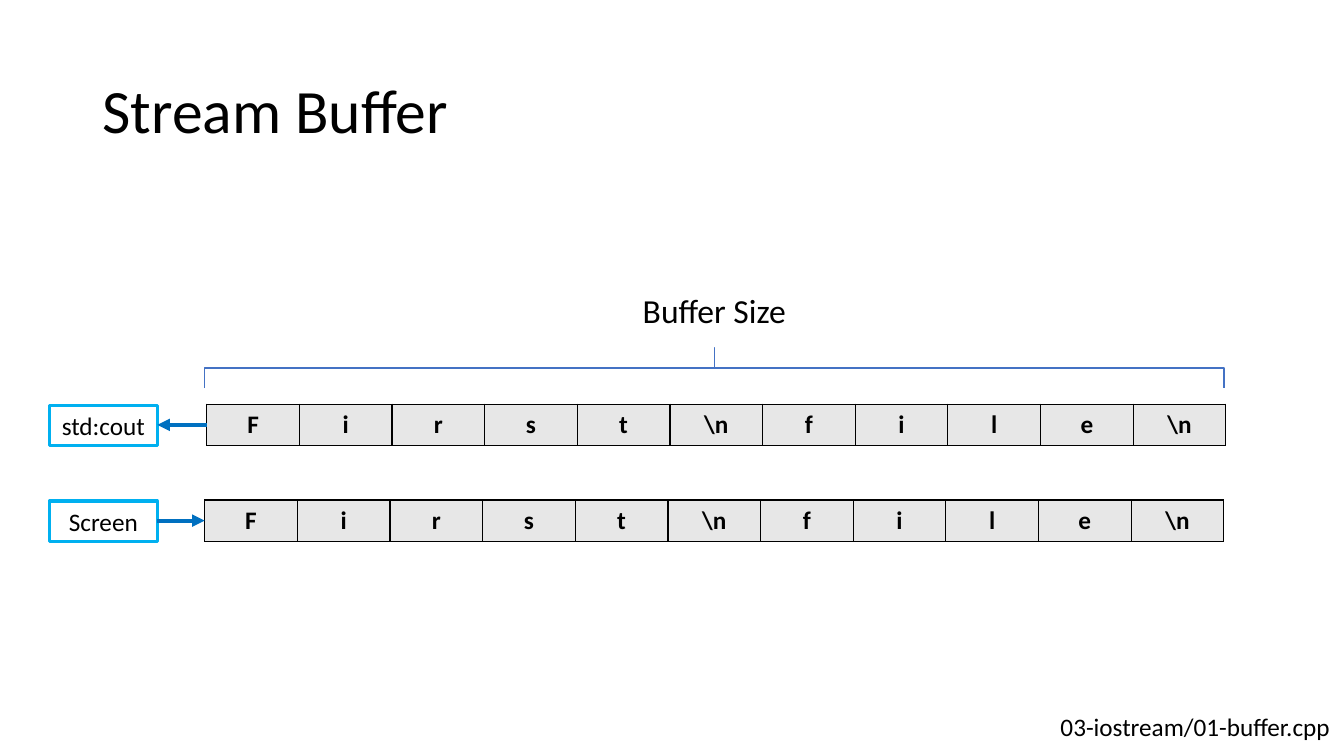
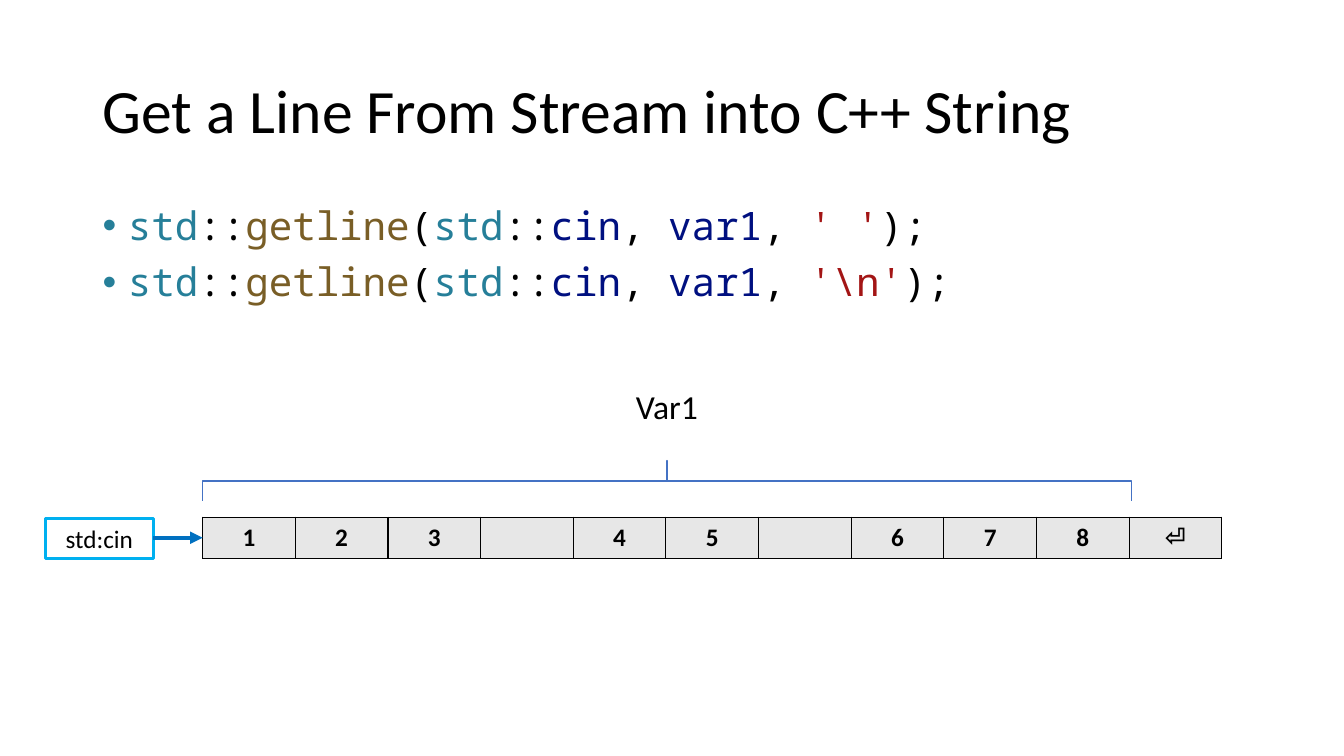
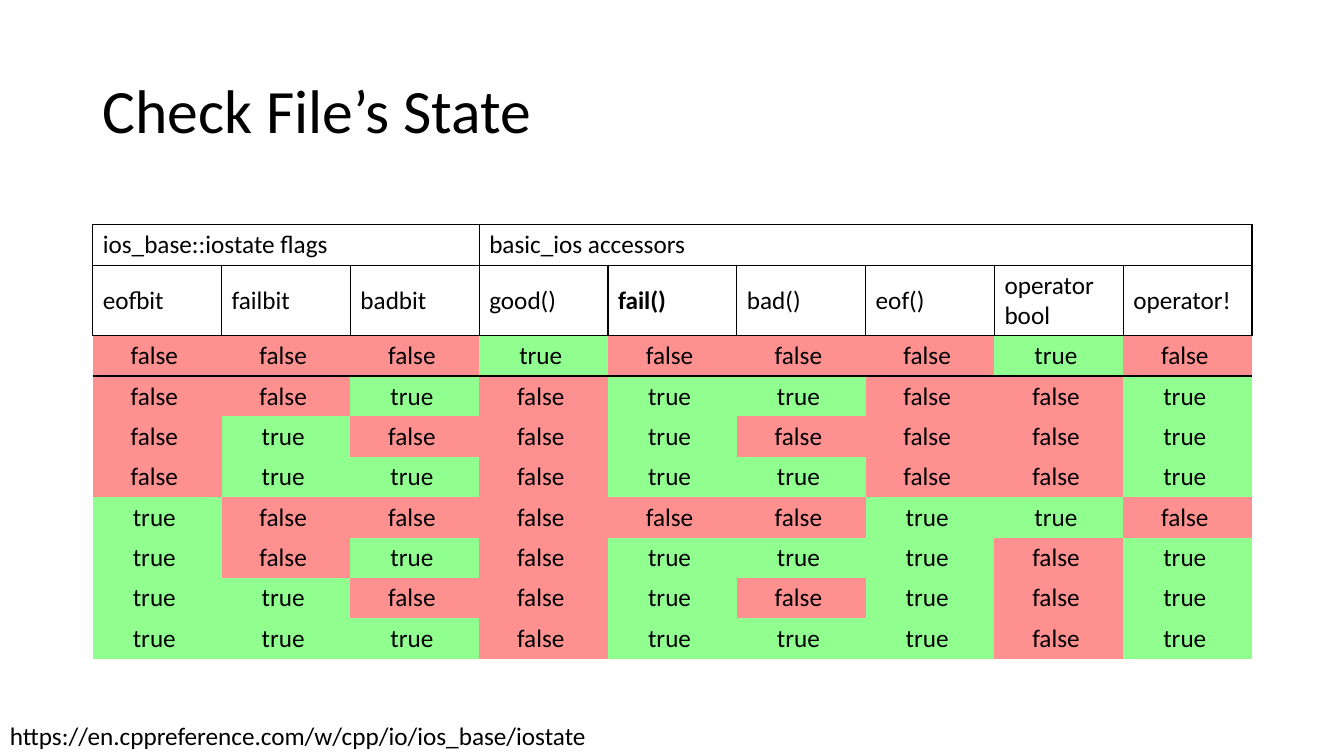
import itertools

import pptx
import pptx.dml.color
import pptx.enum.shapes
import pptx.enum.text
import pptx.oxml
import pptx.oxml.ns
import pptx.util

Inches, Pt = pptx.util.Inches, pptx.util.Pt
SHAPE = pptx.enum.shapes.MSO_SHAPE
ALIGN = pptx.enum.text.PP_ALIGN
ANCHOR = pptx.enum.text.MSO_ANCHOR
qn = pptx.oxml.ns.qn

TEXT_FONT, CODE_FONT = "Calibri", "Noto Sans Mono"
BLACK, CELL_GREY = "000000", "E7E7E7"
BOX_BLUE, ARROW_BLUE, BRACKET_BLUE = "00B0F0", "0070C0", "4472C4"
TRUE_GREEN, FALSE_RED = "90FF90", "FF9090"
TYPE_TEAL, CALL_BROWN, NAME_NAVY, LITERAL_RED = "267F99", "795E26", "001080", "A31515"
PLAIN_TABLE_STYLE = "{2D5ABB26-0587-4C30-8999-92F81FD0307C}"

FIRST_LINE = ["F", "i", "r", "s", "t", "\\n", "f", "i", "l", "e", "\\n"]
TYPED_NUMBERS = ["1", "2", "3", "", "4", "5", "", "6", "7", "8", "⏎"]
# label, its left edge, characters, their left edge, top, whether the arrow points at the label
BUFFER_STREAMS = [
    ("std:cout", 0.49, FIRST_LINE, 2.05, 4.01, True),
    ("Screen", 0.49, FIRST_LINE, 2.03, 4.96, False),
]
INPUT_STREAM = ("std:cin", 0.45, TYPED_NUMBERS, 2.01, 5.13, False)

GETLINE_START = [
    ("std", TYPE_TEAL), ("::", BLACK), ("getline", CALL_BROWN), ("(", BLACK),
    ("std", TYPE_TEAL), ("::", BLACK), ("cin", NAME_NAVY), (", ", BLACK),
    ("var1", NAME_NAVY), (", ", BLACK),
]
DELIMITERS = ["' '", "'\\n'"]

STATE_GROUPS = [("ios_base::iostate flags", 0, 2), ("basic_ios accessors", 3, 8)]
STATE_COLUMNS = ["eofbit", "failbit", "badbit", "good()", "fail()", "bad()", "eof()",
                 "operator bool", "operator!"]
KEY_COLUMN = "fail()"

STRIP_WIDTH, STRIP_HEIGHT = 10.11, 0.41
BOX_WIDTH, BOX_HEIGHT = 1.07, 0.4
BRACKET_HEIGHT, BRACKET_RISE = 0.4, 0.56
LABEL_WIDTH = 1.83


def rgb(colour):
    return pptx.dml.color.RGBColor.from_string(colour)


def add_run(paragraph, text, size=18, colour=BLACK, bold=False, font=TEXT_FONT):
    run = paragraph.add_run()
    run.text = text
    run.font.size, run.font.name, run.font.bold = Pt(size), font, bold
    run.font.color.rgb = rgb(colour)


def add_text(slide, text, left, top, width, height, size=18, align=ALIGN.LEFT):
    frame = slide.shapes.add_textbox(*map(Inches, (left, top, width, height))).text_frame
    frame.word_wrap = True
    paragraph = frame.paragraphs[0]
    paragraph.alignment = align
    add_run(paragraph, text, size)
    return frame


def add_titled_slide(deck, title):
    slide = deck.slides.add_slide(deck.slide_layouts[6])
    frame = add_text(slide, title, 0.92, 0.4, 11.5, 1.45, 44)
    frame.vertical_anchor = ANCHOR.MIDDLE
    frame.paragraphs[0].line_spacing = 0.9
    return slide


def add_outline(slide, preset, left, top, width, height, colour, weight):
    shape = slide.shapes.add_shape(preset, *map(Inches, (left, top, width, height)))
    shape.shadow.inherit = False
    shape.fill.background()
    shape.line.color.rgb = rgb(colour)
    shape.line.width = Pt(weight)
    return shape


def add_arrow(slide, start, end, y):
    arrow = slide.shapes.add_connector(
        pptx.enum.shapes.MSO_CONNECTOR.STRAIGHT, *map(Inches, (start, y, end, y)))
    arrow.line.color.rgb = rgb(ARROW_BLUE)
    arrow.line.width = Pt(3)
    arrow.line._get_or_add_ln().append(pptx.oxml.parse_xml(
        f'<a:tailEnd {pptx.oxml.ns.nsdecls("a")} type="triangle"/>'))
    arrow._element.spPr.append(pptx.oxml.parse_xml(
        f'<a:effectLst {pptx.oxml.ns.nsdecls("a")}/>'))


def add_plain_table(slide, rows, columns, left, top, width, height):
    frame = slide.shapes.add_table(rows, columns, *map(Inches, (left, top, width, height)))
    frame._element.find(".//" + qn("a:tableStyleId")).text = PLAIN_TABLE_STYLE
    table = frame.table
    table.first_row = table.horz_banding = False
    return table


def set_cell(cell, text, fill=None, bold=False, align=ALIGN.LEFT):
    if fill:
        cell.fill.solid()
        cell.fill.fore_color.rgb = rgb(fill)
    paragraph = cell.text_frame.paragraphs[0]
    paragraph.alignment = align
    if text:
        add_run(paragraph, text, bold=bold)


def set_borders(cell, sides="LRTB"):
    properties = cell._tc.get_or_add_tcPr()
    for place, side in enumerate(sides):
        properties.insert(place, pptx.oxml.parse_xml(
            f'<a:ln{side} {pptx.oxml.ns.nsdecls("a")} w="12700"><a:solidFill>'
            f'<a:srgbClr val="{BLACK}"/></a:solidFill></a:ln{side}>'))


def add_stream(slide, label, box_left, characters, strip_left, top, to_label):
    """Draw a row of characters joined by an arrow to its labelled box."""
    strip = add_plain_table(slide, 1, len(characters), strip_left, top,
                            STRIP_WIDTH, STRIP_HEIGHT)
    for cell, character in zip(strip.rows[0].cells, characters):
        set_cell(cell, character, CELL_GREY, True, ALIGN.CENTER)
        set_borders(cell)
    box = add_outline(slide, SHAPE.RECTANGLE, box_left, top + 0.01,
                      BOX_WIDTH, BOX_HEIGHT, BOX_BLUE, 2.25)
    paragraph = box.text_frame.paragraphs[0]
    paragraph.alignment = ALIGN.CENTER
    add_run(paragraph, label)
    ends = (box_left + BOX_WIDTH, strip_left)
    add_arrow(slide, *(reversed(ends) if to_label else ends), top + STRIP_HEIGHT / 2)


def add_bracket(slide, label, label_top, left, width, strip_top):
    """Span part of a strip with a square bracket, made from a brace turned upright."""
    centre_x = left + width / 2
    centre_y = strip_top - BRACKET_RISE + BRACKET_HEIGHT / 2
    bracket = add_outline(slide, SHAPE.RIGHT_BRACE, centre_x - BRACKET_HEIGHT / 2,
                          centre_y - width / 2, BRACKET_HEIGHT, width, BRACKET_BLUE, 1)
    bracket.rotation = 270
    bracket.adjustments[0], bracket.adjustments[1] = 0, 0.5
    add_text(slide, label, centre_x - LABEL_WIDTH / 2, label_top, LABEL_WIDTH, 0.5,
             24, ALIGN.CENTER)


def add_code_bullets(slide):
    frame = slide.shapes.add_textbox(*map(Inches, (0.92, 2, 11.5, 4.76))).text_frame
    frame.word_wrap = True
    for number, delimiter in enumerate(DELIMITERS):
        paragraph = frame.add_paragraph() if number else frame.paragraphs[0]
        paragraph.line_spacing, paragraph.space_before = 0.9, Pt(10)
        properties = paragraph._p.get_or_add_pPr()
        properties.set("marL", str(Inches(0.25)))
        properties.set("indent", str(Inches(-0.25)))
        for tag, name, value in (("buFont", "typeface", "Arial"), ("buChar", "char", "•")):
            properties.append(pptx.oxml.parse_xml(
                f'<a:{tag} {pptx.oxml.ns.nsdecls("a")} {name}="{value}"/>'))
        for text, colour in GETLINE_START + [(delimiter, LITERAL_RED), (");", BLACK)]:
            add_run(paragraph, text, 28, colour, font=CODE_FONT)


def state_rows():
    """Each combination of flags, followed by what the accessors return for it."""
    for eof, fail, bad in itertools.product((False, True), repeat=3):
        failed = fail or bad
        yield eof, fail, bad, not (eof or failed), failed, bad, eof, not failed, failed


def add_state_table(slide):
    states = list(state_rows())
    table = add_plain_table(slide, len(states) + 2, len(STATE_COLUMNS), 0.92, 2.23, 11.5, 4.3)
    for row in table.rows:
        row.height = Inches(0.4)
    table.rows[1].height = Inches(0.7)
    for heading, first, last in STATE_GROUPS:
        table.cell(0, first).merge(table.cell(0, last))
        set_cell(table.cell(0, first), heading)
    for column, name in enumerate(STATE_COLUMNS):
        set_borders(table.cell(0, column))
        set_cell(table.cell(1, column), name, bold=name == KEY_COLUMN)
        set_borders(table.cell(1, column))
        set_borders(table.cell(2, column), "T")
    for row, values in enumerate(states, 2):
        for column, value in enumerate(values):
            set_cell(table.cell(row, column), "true " if value else "false ",
                     TRUE_GREEN if value else FALSE_RED, align=ALIGN.CENTER)
    for cell in table.iter_cells():
        cell.vertical_anchor = ANCHOR.MIDDLE


def main():
    deck = pptx.Presentation()
    deck.slide_width, deck.slide_height = Inches(13.33), Inches(7.5)

    buffer_slide = add_titled_slide(deck, "Stream Buffer")
    for stream in BUFFER_STREAMS:
        add_stream(buffer_slide, *stream)
    add_bracket(buffer_slide, "Buffer Size", 2.83, 2.03, STRIP_WIDTH, 4.01)
    add_text(buffer_slide, "03-iostream/01-buffer.cpp", 10.42, 7.01, 3.14, 0.4)

    getline_slide = add_titled_slide(deck, "Get a Line From Stream into C++ String")
    add_code_bullets(getline_slide)
    add_stream(getline_slide, *INPUT_STREAM)
    add_bracket(getline_slide, "Var1", 3.78, 2.01, 9.21, 5.13)

    state_slide = add_titled_slide(deck, "Check File’s State")
    add_state_table(state_slide)
    add_text(state_slide, "https://en.cppreference.com/w/cpp/io/ios_base/iostate",
             0, 7.1, 6.67, 0.4)

    deck.save("out.pptx")


if __name__ == "__main__":
    main()
